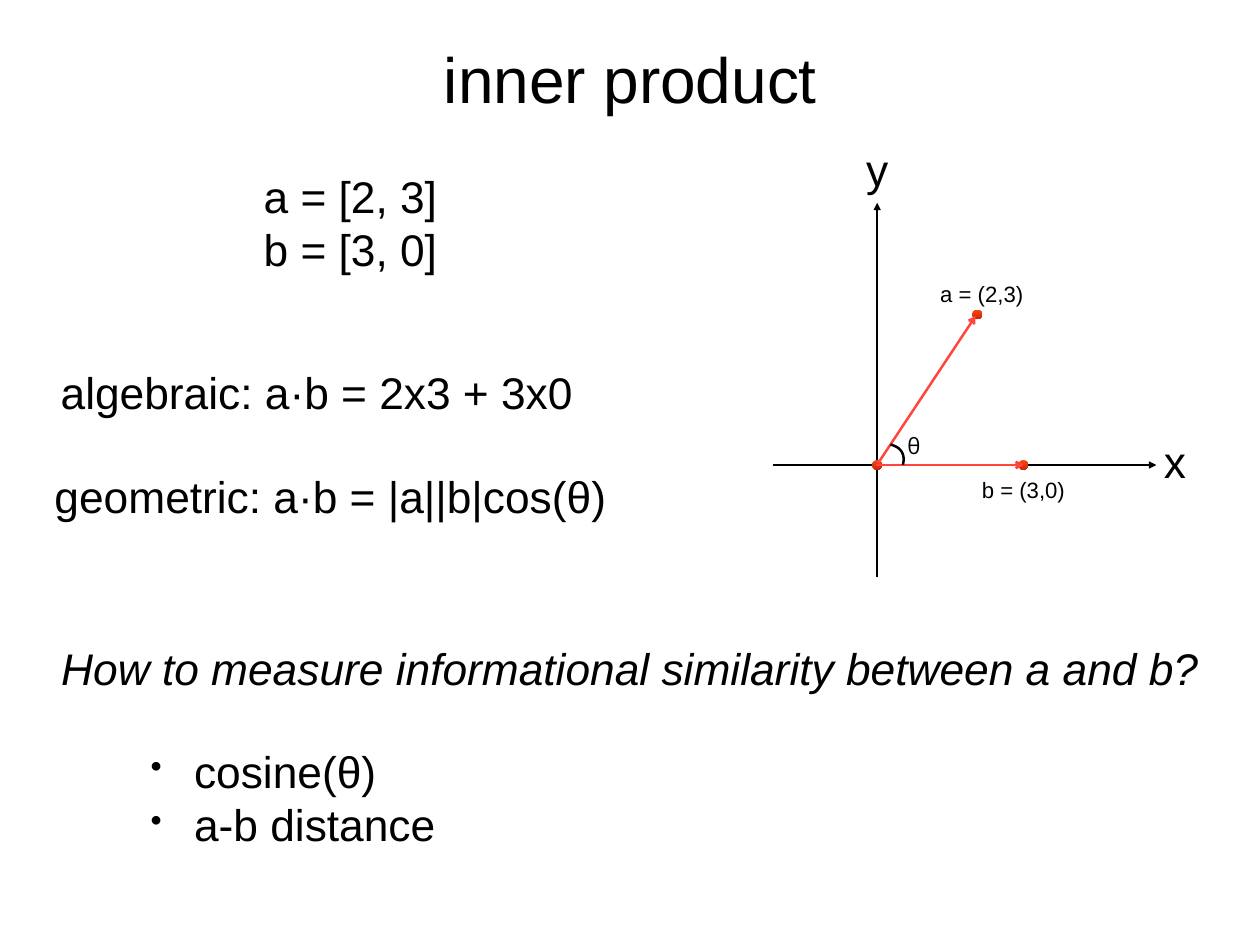
from lxml import etree
from pptx import Presentation
from pptx.dml.color import RGBColor
from pptx.enum.shapes import MSO_CONNECTOR, MSO_SHAPE
from pptx.enum.text import MSO_ANCHOR, MSO_AUTO_SIZE, PP_ALIGN
from pptx.oxml.ns import qn
from pptx.util import Inches, Pt

STRAIGHT = MSO_CONNECTOR.STRAIGHT
OVAL = MSO_SHAPE.OVAL
MIDDLE = MSO_ANCHOR.MIDDLE
FIT_SHAPE = MSO_AUTO_SIZE.SHAPE_TO_FIT_TEXT
LEFT, CENTER, JUSTIFY = PP_ALIGN.LEFT, PP_ALIGN.CENTER, PP_ALIGN.JUSTIFY

BLACK = RGBColor(0x00, 0x00, 0x00)
VECTOR_RED = RGBColor(0xFF, 0x45, 0x3D)
DOT_TOP = RGBColor(0xFA, 0x48, 0x13)
DOT_BOTTOM = RGBColor(0xC8, 0x25, 0x06)

DOT_SIZE = 0.11
ARC_STEPS = 16


def add_text(slide, box, lines, size=36, font="Arial", align=CENTER, italic=None, wrap=False):
    frame = slide.shapes.add_textbox(*map(Inches, box)).text_frame
    frame.word_wrap = wrap
    frame.auto_size = FIT_SHAPE
    frame.vertical_anchor = MIDDLE
    frame.margin_left = frame.margin_right = Inches(0.06)
    frame.margin_top = frame.margin_bottom = Inches(0.06)
    frame.text = "\n".join(lines)
    for paragraph in frame.paragraphs:
        paragraph.alignment = align
        paragraph.font.name = font
        paragraph.font.size = Pt(size)
        paragraph.font.italic = italic
        paragraph.font.color.rgb = BLACK
    return frame


def add_bullets(frame):
    for paragraph in frame.paragraphs:
        properties = paragraph._p.get_or_add_pPr()
        properties.set("marL", str(Inches(0.49)))
        properties.set("indent", str(-Inches(0.49)))
        bullet_size = etree.Element(qn("a:buSzPct"), val="75000")
        bullet = etree.Element(qn("a:buChar"), char="•")
        properties.insert(0, bullet_size)
        properties.insert(1, bullet)


def add_arrow(slide, start, end, color, head):
    arrow = slide.shapes.add_connector(STRAIGHT, *map(Inches, start + end))
    arrow.line.color.rgb = color
    arrow.line.width = Pt(2)
    etree.SubElement(arrow.line._get_or_add_ln(), qn("a:tailEnd"), type=head)
    etree.SubElement(arrow._element.spPr, qn("a:effectLst"))


def add_dot(slide, x, y):
    corner = Inches(x - DOT_SIZE / 2), Inches(y - DOT_SIZE / 2)
    dot = slide.shapes.add_shape(OVAL, *corner, Inches(DOT_SIZE), Inches(DOT_SIZE))
    dot.shadow.inherit = False
    dot.line.fill.background()
    dot.fill.gradient()
    dot.fill.gradient_angle = 270
    for stop, color in zip(dot.fill.gradient_stops, (DOT_TOP, DOT_BOTTOM)):
        stop.color.rgb = color


def bezier(controls, t):
    weights = (1 - t) ** 3, 3 * t * (1 - t) ** 2, 3 * t ** 2 * (1 - t), t ** 3
    return tuple(Inches(sum(w * c for w, c in zip(weights, axis))) for axis in zip(*controls))


def add_angle_arc(slide, controls):
    points = [bezier(controls, step / ARC_STEPS) for step in range(ARC_STEPS + 1)]
    builder = slide.shapes.build_freeform(*points[0])
    builder.add_line_segments(points[1:], close=False)
    arc = builder.convert_to_shape()
    arc.shadow.inherit = False
    arc.fill.background()
    arc.line.color.rgb = BLACK
    arc.line.width = Pt(2)


def draw_plane(slide):
    add_arrow(slide, (9.9, 6.52), (9.9, 2.29), BLACK, "triangle")
    add_arrow(slide, (8.72, 5.25), (13.05, 5.25), BLACK, "triangle")
    for x, y in ((11.03, 3.55), (9.9, 5.25), (11.55, 5.25)):
        add_dot(slide, x, y)
    add_arrow(slide, (9.91, 5.23), (11.01, 3.57), VECTOR_RED, "arrow")
    add_arrow(slide, (9.89, 5.25), (11.55, 5.25), VECTOR_RED, "arrow")
    add_angle_arc(slide, ((10.05, 5.02), (10.17, 5.05), (10.22, 5.13), (10.19, 5.25)))
    add_text(slide, (13.07, 4.85, 0.38, 0.71), ["x"])
    add_text(slide, (9.71, 1.55, 0.38, 0.71), ["y"])
    add_text(slide, (10.54, 3.1, 1.08, 0.42), ["a = (2,3)"], size=18)
    add_text(slide, (11, 5.32, 1.1, 0.42), ["b = (3,0)"], size=18)
    add_text(slide, (10.18, 4.83, 0.28, 0.4), ["θ"], size=18, font="Open Sans", align=LEFT)


def main():
    presentation = Presentation()
    presentation.slide_width = Inches(14.22)
    presentation.slide_height = Inches(10.67)
    slide = presentation.slides.add_slide(presentation.slide_layouts[6])

    draw_plane(slide)
    add_text(slide, (4.89, 0.39, 4.45, 0.97), ["inner product"], size=52)
    add_text(slide, (2.85, 1.85, 2.21, 1.31), ["a = [2, 3]", "b = [3, 0]"])
    add_text(slide, (0.54, 4.07, 6.07, 0.71), ["algebraic: a·b = 2x3 + 3x0"])
    add_text(slide, (0.51, 5.24, 6.44, 0.71), ["geometric: a·b = |a||b|cos(θ)"])
    add_text(slide, (0.6, 7.19, 13.02, 0.71),
             ["How to measure informational similarity between a and b?"], italic=True)
    measures = add_text(slide, (1.64, 8.35, 3.87, 1.31), ["cosine(θ)", "a-b distance"],
                        align=JUSTIFY, wrap=True)
    add_bullets(measures)

    presentation.save("out.pptx")


if __name__ == "__main__":
    main()
